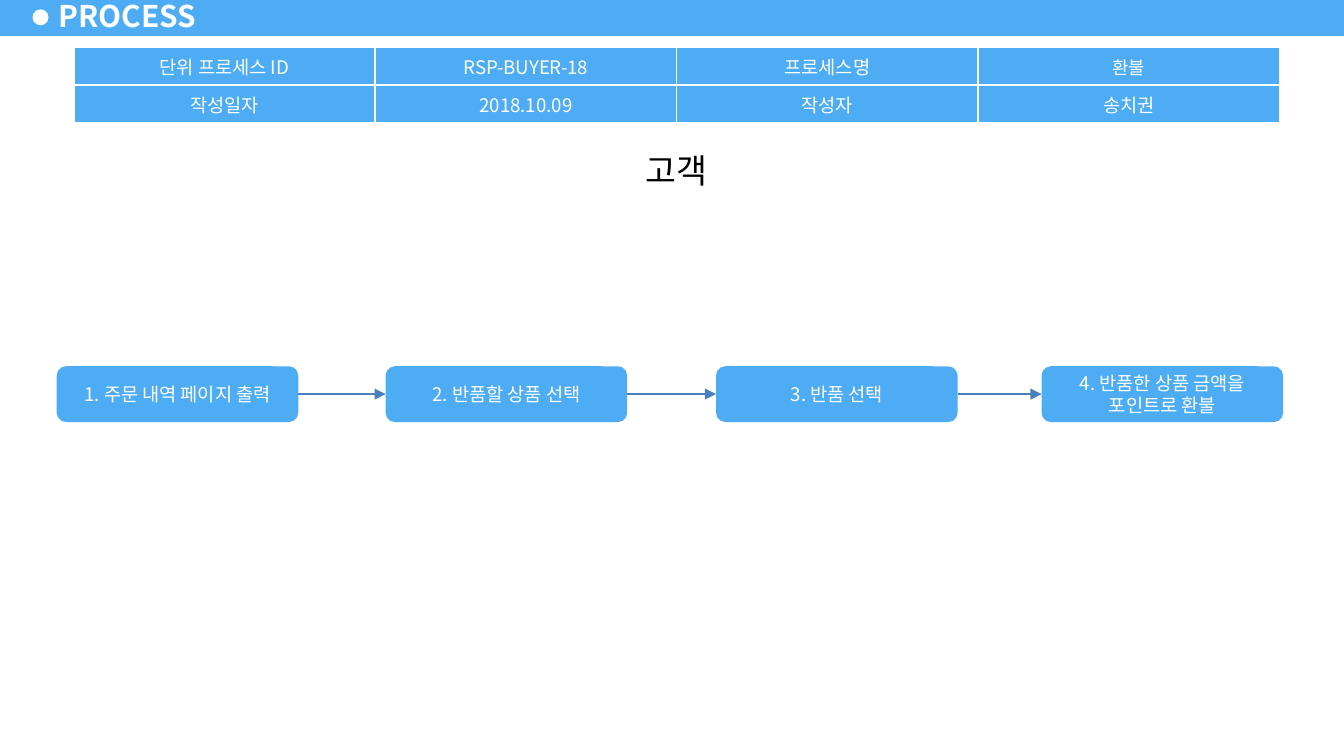
"""Build the refund process slide with its header table and four-step flow."""
import pptx
import pptx.util
import pptx.dml.color
import pptx.enum.shapes
import pptx.enum.text
import pptx.oxml.ns
from lxml import etree

Pt = pptx.util.Pt
SHAPE = pptx.enum.shapes.MSO_SHAPE
ALIGN = pptx.enum.text.PP_ALIGN
ANCHOR = pptx.enum.text.MSO_ANCHOR
FONT = "Noto Sans CJK KR"
BLUE, WHITE, BLACK, ARROW = "4DACF3", "FFFFFF", "000000", "4B7EBC"

TITLE = "PROCESS"
ACTOR = "고객"
INFO = [
    [("단위 프로세스 ID", 10), ("RSP-BUYER-18", 10), ("프로세스명", 10), ("환불", 9.5)],
    [("작성일자", 10), ("2018.10.09", 10), ("작성자", 10), ("송치권", 10)],
]
STEPS = [
    (30.4, "1. 주문 내역 페이지 출력"),
    (206.6, "2. 반품할 상품 선택"),
    (383.6, "3. 반품 선택"),
    (558, "4. 반품한 상품 금액을\n포인트로 환불"),
]
STEP_TOP, STEP_W, STEP_H = 196.2, 129.4, 29.9
COL_W, ROW_H = 161.5, 20.2


def rgb(value):
    """Return a colour from a hex string."""
    return pptx.dml.color.RGBColor.from_string(value)


def add_sub(parent, tag, **attrs):
    """Append a DrawingML child element."""
    return etree.SubElement(parent, pptx.oxml.ns.qn(tag), **attrs)


def write(tf, text, size=10, color=WHITE, bold=False, align=ALIGN.CENTER):
    """Write lines of text as formatted paragraphs."""
    for i, line in enumerate(text.split("\n")):
        p = tf.add_paragraph() if i else tf.paragraphs[0]
        p.alignment = align
        r = p.add_run()
        r.text = line
        r.font.size, r.font.bold, r.font.name = Pt(size), bold, FONT
        r.font.color.rgb = rgb(color)
        add_sub(r.font._element, "a:ea", typeface=FONT)


def set_frame(tf, anchor, side=7.2, edge=3.6):
    """Set wrapping, anchor and insets of a text frame."""
    tf.word_wrap, tf.vertical_anchor = True, anchor
    tf.margin_left = tf.margin_right = Pt(side)
    tf.margin_top = tf.margin_bottom = Pt(edge)


def add_box(s, kind, x, y, w, h, fill):
    """Add a flat filled shape without outline."""
    sp = s.shapes.add_shape(kind, Pt(x), Pt(y), Pt(w), Pt(h))
    sp.shadow.inherit = False
    sp.fill.solid()
    sp.fill.fore_color.rgb = rgb(fill)
    sp.line.fill.background()
    return sp


def add_header(s):
    """Add the title band and the actor heading."""
    add_box(s, SHAPE.RECTANGLE, 0, -1.2, 720, 20.4, BLUE)
    add_box(s, SHAPE.OVAL, 17.4, 5, 8.6, 8.6, WHITE)
    sp = s.shapes.add_textbox(Pt(25), Pt(-2.9), Pt(88), Pt(23))
    set_frame(sp.text_frame, ANCHOR.MIDDLE, side=6.5, edge=2.9)
    write(sp.text_frame, TITLE, size=16, bold=True, align=ALIGN.LEFT)
    sp = add_box(s, SHAPE.RECTANGLE, 234, 77, 257, 29.5, WHITE)
    set_frame(sp.text_frame, ANCHOR.TOP)
    write(sp.text_frame, ACTOR, size=18, color=BLACK)


def add_info(s):
    """Add the process information table."""
    rows, cols = len(INFO), len(INFO[0])
    table = s.shapes.add_table(rows, cols, Pt(39.5), Pt(25.5),
                               Pt(COL_W * cols), Pt(ROW_H * rows)).table
    table.first_row = table.horz_banding = False
    for col in table.columns:
        col.width = Pt(COL_W)
    for i, row in enumerate(INFO):
        table.rows[i].height = Pt(ROW_H)
        for j, (text, size) in enumerate(row):
            cell = table.cell(i, j)
            cell.vertical_anchor = ANCHOR.MIDDLE
            cell.margin_left = cell.margin_right = Pt(7.2)
            cell.margin_top = cell.margin_bottom = Pt(2.5)
            write(cell.text_frame, text, size=size)
            tc_pr = cell._tc.get_or_add_tcPr()
            for side in ("a:lnL", "a:lnR", "a:lnT", "a:lnB"):
                fill = add_sub(add_sub(tc_pr, side, w=str(Pt(1))), "a:solidFill")
                add_sub(fill, "a:srgbClr", val=WHITE)
            cell.fill.solid()
            cell.fill.fore_color.rgb = rgb(BLUE)


def add_flow(s):
    """Add the steps and the arrows between them."""
    boxes = []
    for x, text in STEPS:
        sp = add_box(s, SHAPE.ROUNDED_RECTANGLE, x, STEP_TOP, STEP_W, STEP_H, BLUE)
        set_frame(sp.text_frame, ANCHOR.MIDDLE)
        write(sp.text_frame, text)
        boxes.append(sp)
    for left, right in zip(boxes, boxes[1:]):
        line = s.shapes.add_connector(pptx.enum.shapes.MSO_CONNECTOR.STRAIGHT, 0, 0, 0, 0)
        line.begin_connect(left, 3)
        line.end_connect(right, 1)
        line.line.color.rgb = rgb(ARROW)
        line.line.width = Pt(0.75)
        add_sub(line.line._get_or_add_ln(), "a:tailEnd", type="triangle")
        add_sub(line._element.spPr, "a:effectLst")


def main():
    """Create and save the slide."""
    prs = pptx.Presentation()
    prs.slide_width, prs.slide_height = Pt(720), Pt(405)
    s = prs.slides.add_slide(prs.slide_layouts[6])
    add_header(s)
    add_flow(s)
    add_info(s)
    prs.save("out.pptx")


if __name__ == "__main__":
    main()
